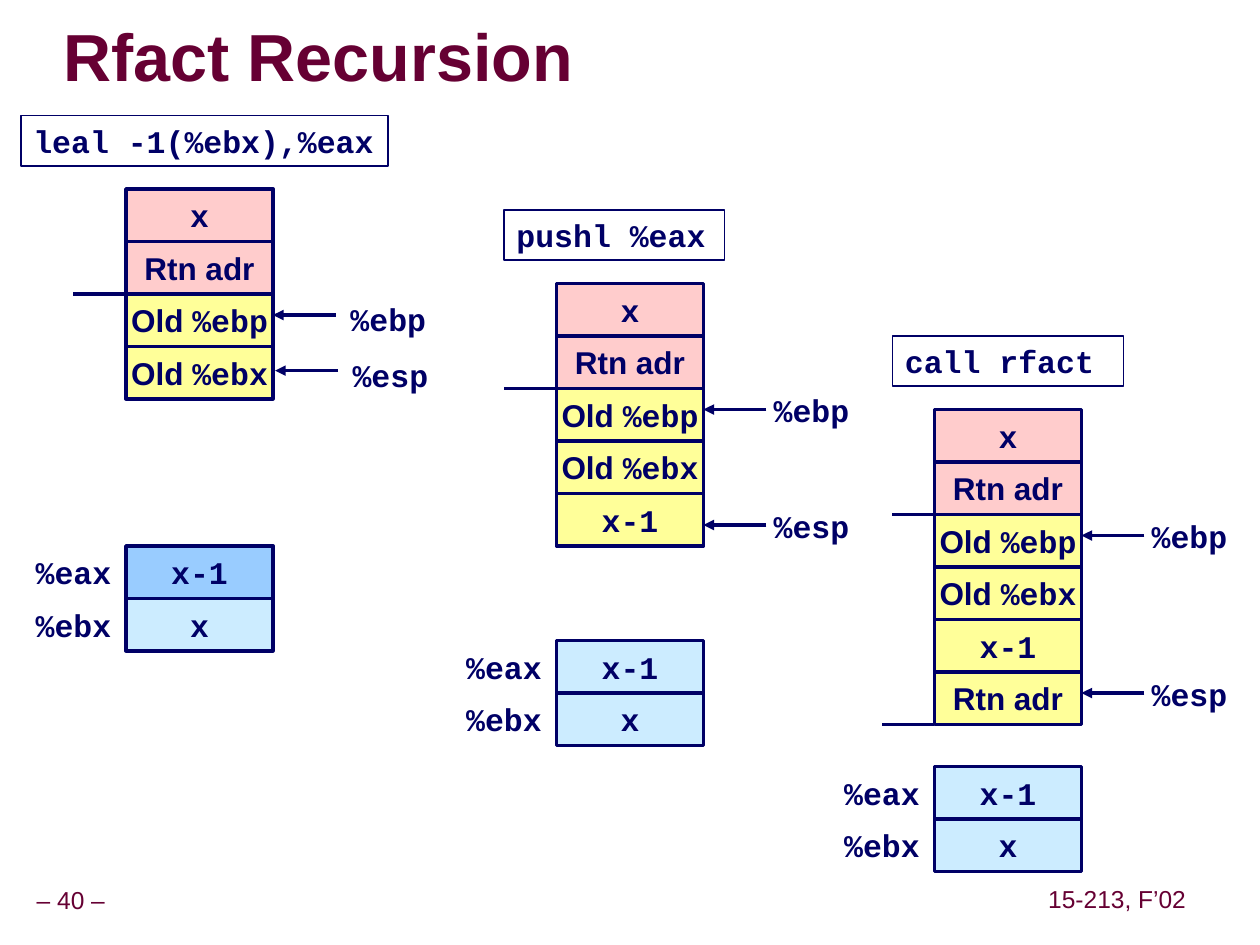
import pptx
import pptx.util
import pptx.dml.color
import pptx.enum.shapes
import pptx.enum.text
import pptx.oxml
import pptx.oxml.ns

PX = 7620  # EMU per px, 120 px to the inch
COLORS = {"navy": "000066", "maroon": "660033", "pink": "FFCCCC", "yellow": "FFFF99",
          "sky": "CCECFF", "blue": "99CCFF", "white": "FFFFFF"}
SANS, MONO = "Arial", "Courier New"
CELL_W, CELL_H = 140, 50
LEFT, CENTER = pptx.enum.text.PP_ALIGN.LEFT, pptx.enum.text.PP_ALIGN.CENTER
TOP, MIDDLE = pptx.enum.text.MSO_ANCHOR.TOP, pptx.enum.text.MSO_ANCHOR.MIDDLE

X, X_1 = [("x", MONO)], [("x-1", MONO)]
RTN = [("Rtn adr", SANS)]
OLD_EBP = [("Old ", SANS), ("%ebp", MONO)]
OLD_EBX = [("Old ", SANS), ("%ebx", MONO)]


def emu(*lengths):
    return [pptx.util.Emu(n * PX) for n in lengths]


def rgb(name):
    return pptx.dml.color.RGBColor.from_string(COLORS[name])


def element(tag, inner=""):
    return pptx.oxml.parse_xml(f'<a:{tag} {pptx.oxml.ns.nsdecls("a")}>{inner}</a:{tag}>')


class Deck:
    def __init__(self):
        self.prs = pptx.Presentation()
        self.prs.slide_width, self.prs.slide_height = emu(1200, 900)
        self.s = self.prs.slides.add_slide(self.prs.slide_layouts[6])

    def add_runs(self, sp, runs, size=18, color="navy", bold=True, align=CENTER,
                 anchor=MIDDLE, insets=(12, 6), wrap=False, spacing=None):
        tf = sp.text_frame
        tf.word_wrap, tf.vertical_anchor = wrap, anchor
        tf.margin_left, tf.margin_top = tf.margin_right, tf.margin_bottom = emu(*insets)
        p = tf.paragraphs[0]
        p.alignment = align
        if spacing:
            p.line_spacing = spacing
        for text, font in runs:
            r = p.add_run()
            r.text = text
            r.font.name, r.font.size, r.font.bold = font, pptx.util.Pt(size), bold
            r.font.color.rgb = rgb(color)
        return sp

    def text(self, x, y, w, h, runs, **style):
        return self.add_runs(self.s.shapes.add_textbox(*emu(x, y, w, h)), runs, **style)

    def box(self, x, y, w, h, runs, fill=None, line=0, **style):
        sp = self.s.shapes.add_shape(pptx.enum.shapes.MSO_SHAPE.RECTANGLE, *emu(x, y, w, h))
        sp.shadow.inherit = False
        if fill:
            sp.fill.solid()
            sp.fill.fore_color.rgb = rgb(fill)
        else:
            sp.fill.background()
        if line:
            sp.line.color.rgb = rgb("navy")
            sp.line.width = pptx.util.Pt(line)
        else:
            sp.line.fill.background()
        return self.add_runs(sp, runs, **style)

    def line(self, x1, x2, y, arrow=False):
        """Horizontal line, with the arrowhead at x2."""
        sp = self.s.shapes.add_connector(pptx.enum.shapes.MSO_CONNECTOR.STRAIGHT,
                                         *emu(x1, y, x2, y))
        sp.line.color.rgb = rgb("navy")
        sp.line.width = pptx.util.Pt(2)
        spPr = sp._element.spPr
        if arrow:
            tail = element("tailEnd")
            tail.set("type", "triangle")
            spPr.find(pptx.oxml.ns.qn("a:ln")).append(tail)
        spPr.append(element("effectLst"))

    def title(self, text):
        sp = self.text(60, 20, 757, 76, [(text, SANS)], size=38, color="maroon",
                       align=LEFT, insets=(0, 0), wrap=True, spacing=0.87)
        latin = sp._element.find(".//" + pptx.oxml.ns.qn("a:latin"))
        shadow = element("effectLst", '<a:outerShdw dist="53882" dir="2700000">'
                                      '<a:srgbClr val="969696"/></a:outerShdw>')
        latin.addprevious(shadow)

    def footer(self, x, y, w, text):
        self.text(x, y, w, 37, [(text, SANS)], size=14, color="maroon", bold=False,
                  insets=(6, 6), spacing=0.9)

    def code(self, x, y, w, text):
        self.box(x, y, w, 48, [(text, MONO)], line=1, align=LEFT, anchor=TOP, wrap=True)

    def cell(self, x, y, runs, fill):
        self.box(x, y, CELL_W, CELL_H, runs, fill, line=2)

    def stack(self, x, y, cells):
        """Cells downwards: the caller's two in pink, the current frame in yellow."""
        for i, runs in enumerate(cells):
            self.cell(x, y + i * CELL_H, runs, "pink" if i < 2 else "yellow")

    def pointer(self, tip, y, name, dx, dy):
        """Arrow to tip with its register name dx, dy away."""
        self.line(tip + 60, tip, y, arrow=True)
        self.text(tip + dx, y + dy, 96, 48, [(name, MONO)], align=LEFT, anchor=TOP)

    def registers(self, x, y, eax_fill):
        for i, (name, value, fill) in enumerate((("%eax", X_1, eax_fill), ("%ebx", X, "sky"))):
            self.box(x - 90, y + i * CELL_H, 80, CELL_H, [(name, MONO)], "white")
            self.cell(x, y + i * CELL_H, value, fill)


def main():
    d = Deck()
    d.footer(-11, 840, 157, "– 40 –")
    d.footer(992, 839, 144, "15-213, F’02")
    d.title("Rfact Recursion")

    frame = [X, RTN, OLD_EBP, OLD_EBX]
    # code, its left and width, stack left and top, cells, base line left, eax fill
    steps = [
        ("leal -1(%ebx),%eax", 20, 350, 120, 180, frame, 70, "blue"),
        ("pushl %eax", 480, 210, 530, 270, frame + [X_1], 480, "sky"),
        ("call rfact", 850, 220, 890, 390, frame + [X_1, RTN], 850, "sky"),
    ]
    for code, code_x, code_w, x, y, cells, base_x, eax_fill in steps:
        d.code(code_x, y - 70, code_w, code)
        d.stack(x, y, cells)
        d.line(base_x, base_x + 50, y + 100)
        d.registers(x, y + 340, eax_fill)

    pointers = [
        (260, 300, "%ebp", 62, -20), (262, 353, "%esp", 62, -20),
        (670, 390, "%ebp", 55, -23), (670, 500, "%esp", 55, -23),
        (1030, 510, "%ebp", 55, -23), (1030, 660, "%esp", 55, -23),
    ]
    for pointer in pointers:
        d.pointer(*pointer)
    d.line(840, 890, 690)

    d.prs.save("out.pptx")


if __name__ == "__main__":
    main()
